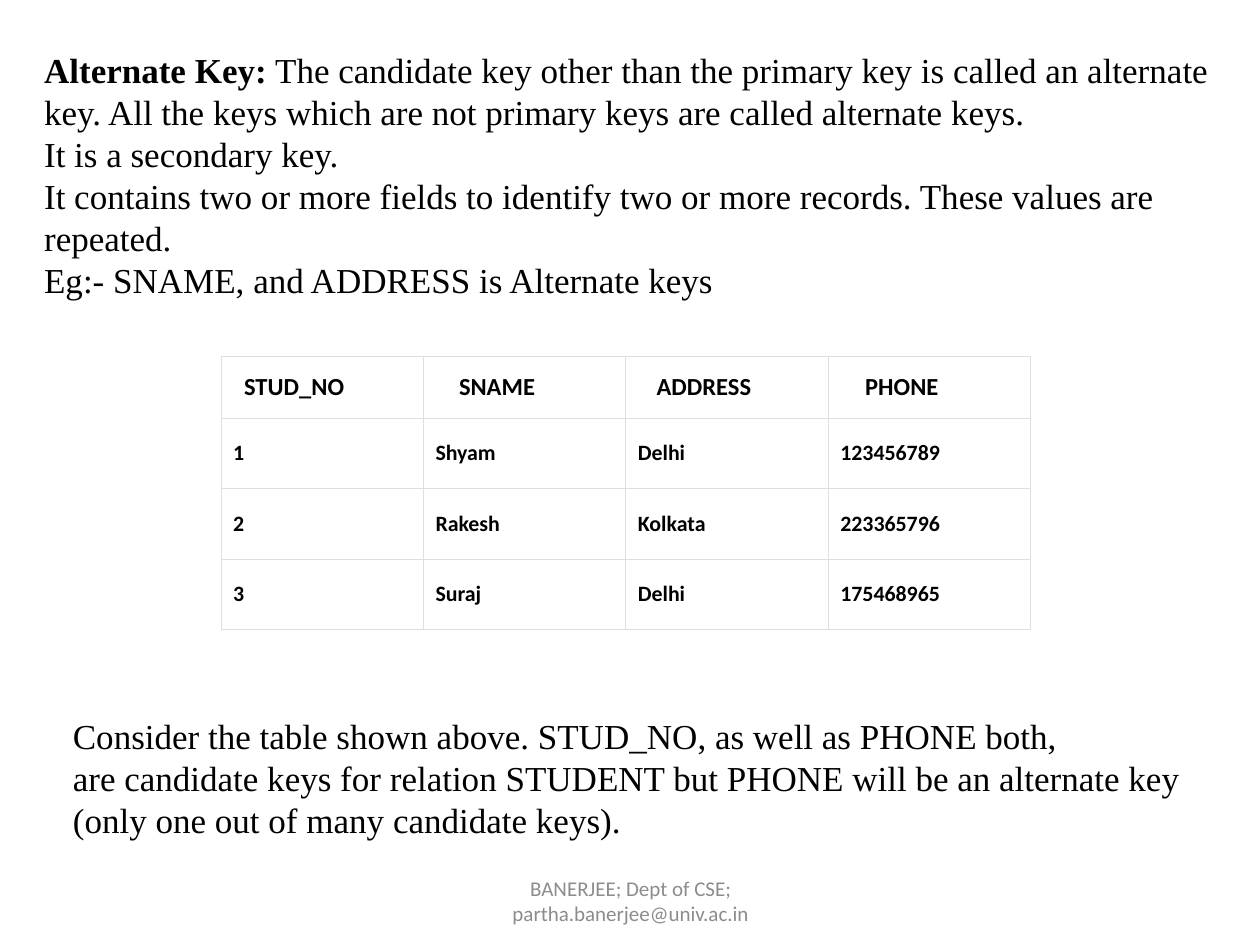
import dataclasses

import pptx
import pptx.dml.color
import pptx.enum.text
import pptx.oxml.ns
import pptx.util
from lxml import etree

Cm = pptx.util.Cm
Pt = pptx.util.Pt
Align = pptx.enum.text.PP_ALIGN
Anchor = pptx.enum.text.MSO_ANCHOR


@dataclasses.dataclass(frozen=True)
class Theme:
    ink: str = "000000"
    muted: str = "8C8C8C"
    paper: str = "FFFFFF"
    rule: str = "DFDFDF"
    rule_width: float = 0.23
    serif: str = "Times New Roman"
    sans: str = "Calibri"
    body_size: float = 20
    header_size: float = 14
    cell_size: float = 12.5
    footer_size: float = 12


class SlideBuilder:
    def __init__(self, page, theme):
        self.page = page
        self.theme = theme

    def style(self, font, name, size, color, bold=False):
        font.name = name
        font.size = Pt(size)
        font.bold = bold
        font.color.rgb = pptx.dml.color.RGBColor.from_string(color)

    def text(self, place, paragraphs, name, size, color, align=Align.LEFT,
             anchor=Anchor.TOP, margins=(0.25, 0.13, 0.25, 0.13), wrap=True):
        """Each paragraph is a list of (text, bold) spans."""
        box = self.page.shapes.add_textbox(*map(Cm, place))
        frame = box.text_frame
        frame.word_wrap = wrap
        frame.vertical_anchor = anchor
        (frame.margin_left, frame.margin_top,
         frame.margin_right, frame.margin_bottom) = map(Cm, margins)
        for index, spans in enumerate(paragraphs):
            para = frame.paragraphs[0] if index == 0 else frame.add_paragraph()
            para.alignment = align
            self.style(para.font, name, size, color)
            for words, bold in spans:
                span = para.add_run()
                span.text = words
                if bold:
                    span.font.bold = True

    def border(self, cell):
        properties = cell._tc.get_or_add_tcPr()
        for side in ("lnL", "lnR", "lnT", "lnB"):
            line = etree.SubElement(properties, pptx.oxml.ns.qn(f"a:{side}"),
                                    w=str(Pt(self.theme.rule_width)))
            fill = etree.SubElement(line, pptx.oxml.ns.qn("a:solidFill"))
            etree.SubElement(fill, pptx.oxml.ns.qn("a:srgbClr"), val=self.theme.rule)

    def cell(self, cell, words, size, align, margins):
        self.border(cell)
        cell.fill.solid()
        cell.fill.fore_color.rgb = pptx.dml.color.RGBColor.from_string(self.theme.paper)
        cell.vertical_anchor = Anchor.MIDDLE
        (cell.margin_left, cell.margin_top,
         cell.margin_right, cell.margin_bottom) = map(Cm, margins)
        cell.text = words
        para = cell.text_frame.paragraphs[0]
        para.alignment = align
        self.style(para.font, self.theme.sans, size, self.theme.ink, bold=True)

    def table(self, left, top, column_width, header_height, row_height, headers, records):
        """Each header is (text, left margin, right margin)."""
        height = header_height + row_height * len(records)
        table = self.page.shapes.add_table(
            len(records) + 1, len(headers), Cm(left), Cm(top),
            Cm(column_width * len(headers)), Cm(height)).table
        table.first_row = table.horz_banding = False
        for column in table.columns:
            column.width = Cm(column_width)
        for index, row in enumerate(table.rows):
            row.height = Cm(row_height if index else header_height)
        for column, (words, before, after) in enumerate(headers):
            self.cell(table.cell(0, column), words, self.theme.header_size,
                      Align.CENTER, (before, 0.25, after, 0.25))
        for row, record in enumerate(records, start=1):
            for column, words in enumerate(record):
                self.cell(table.cell(row, column), words, self.theme.cell_size,
                          Align.LEFT, (0.25, 0.38, 0.25, 0.38))


def main():
    deck = pptx.Presentation()
    deck.slide_width, deck.slide_height = Cm(25.4), Cm(19.05)
    theme = Theme()
    builder = SlideBuilder(deck.slides.add_slide(deck.slide_layouts[6]), theme)
    body = (theme.serif, theme.body_size, theme.ink)

    # Footer
    builder.text((8.69, 17.65, 8.05, 1.02),
                 [[("BANERJEE; Dept of CSE; partha.banerjee@univ.ac.in", False)]],
                 theme.sans, theme.footer_size, theme.muted,
                 align=Align.CENTER, anchor=Anchor.MIDDLE)

    # Definition
    builder.text((0.64, 0.84, 24.13, 5.38), [
        [("Alternate Key:", True),
         (" The candidate key other than the primary key is called an alternate key. "
          "All the keys which are not primary keys are called alternate keys.", False)],
        [("It is a secondary key.", False)],
        [("It contains two or more fields to identify two or more records. "
          "These values are repeated.", False)],
        [("Eg:- SNAME, and ADDRESS is Alternate keys", False)],
    ], *body)

    # Student table; wide right margins shift the headers left of centre
    builder.table(
        4.45, 7.19, 4.08, 1.24, 1.42,
        headers=[("STUD_NO", 0.1, 1.22), ("SNAME", 0.25, 1.35),
                 ("ADDRESS", 0.25, 1.17), ("PHONE", 0.25, 1.35)],
        records=[("1", "Shyam", "Delhi", "123456789"),
                 ("2", "Rakesh", "Kolkata", "223365796"),
                 ("3", "Suraj", "Delhi", "175468965")])

    # Explanation
    builder.text((1.47, 14.38, 22.66, 2.77), [
        [("Consider the table shown above. STUD_NO, as well as PHONE both,", False)],
        [("are candidate keys for relation STUDENT but PHONE will be an alternate key", False)],
        [("(only one out of many candidate keys).", False)],
    ], *body, anchor=Anchor.MIDDLE, margins=(0, 0, 0, 0.2), wrap=False)

    deck.save("out.pptx")


if __name__ == "__main__":
    main()
